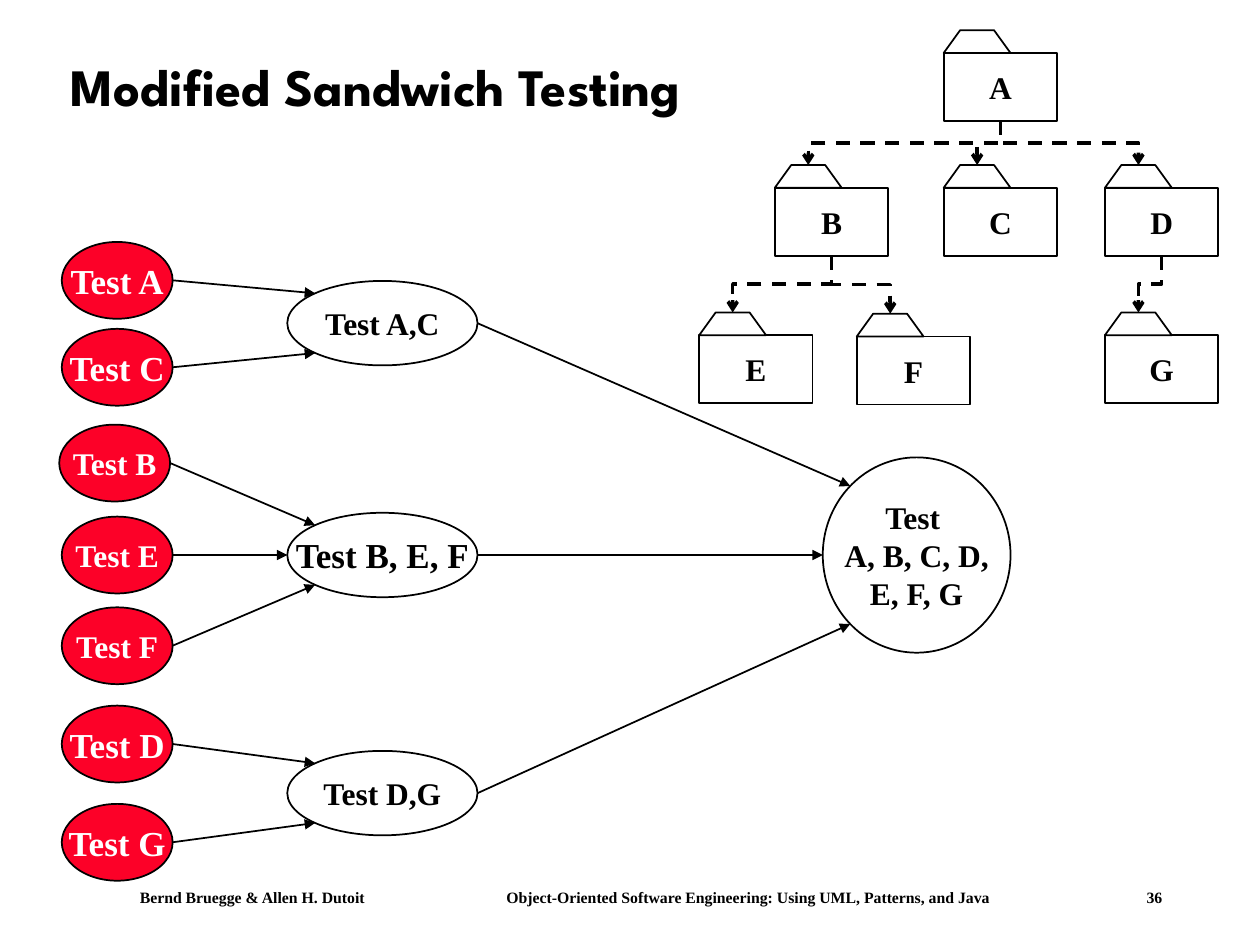
from math import sqrt

from lxml import etree
from pptx import Presentation
from pptx.dml.color import RGBColor
from pptx.enum.dml import MSO_LINE
from pptx.enum.shapes import MSO_CONNECTOR, MSO_SHAPE
from pptx.enum.text import MSO_ANCHOR, PP_ALIGN
from pptx.oxml.ns import qn
from pptx.util import Inches, Pt

BLACK = RGBColor(0x00, 0x00, 0x00)
WHITE = RGBColor(0xFF, 0xFF, 0xFF)
RED = RGBColor(0xFC, 0x01, 0x28)
OVAL, RECT = MSO_SHAPE.OVAL, MSO_SHAPE.RECTANGLE
STRAIGHT, ELBOW = MSO_CONNECTOR.STRAIGHT, MSO_CONNECTOR.ELBOW
DASH = MSO_LINE.DASH
MIDDLE = MSO_ANCHOR.MIDDLE
CENTER = PP_ALIGN.CENTER
SERIF = "Times New Roman"
TITLE_FONT = "League Spartan"

PACKAGE_W, PACKAGE_H = 0.9, 0.54
TAB_W, TAB_H, TAB_SLANT = 0.53, 0.18, 0.13
PACKAGES = {
    "A": (1.94, 0.18), "B": (0.6, 1.25), "C": (1.94, 1.25), "D": (3.22, 1.25),
    "E": (0, 2.42), "F": (1.25, 2.43), "G": (3.22, 2.42),
}
DEPENDENCIES = ["AB", "AC", "AD", "BE", "BF", "DG"]

UNIT_W, UNIT_H = 0.88, 0.61
GROUP_X, GROUP_W, GROUP_H = 1.81, 1.51, 0.67
FINAL = (6.06, 1.71, 1.49, 1.55)
GROUPS = [
    ("Test A,C", 18, 0.31, [("Test A", 20, 0.02, 0), ("Test C", 20, 0.02, 0.69)]),
    ("Test B, E, F", 20, 2.15, [("Test B", 18, 0, 1.45), ("Test E", 18, 0.02, 2.18),
                                ("Test F", 18, 0.02, 2.9)]),
    ("Test D,G", 18, 4.04, [("Test D", 20, 0.02, 3.68), ("Test G", 20, 0.02, 4.46)]),
]


def style_text(tf, size, color, font=SERIF, align=None):
    """Give every paragraph of a text frame the same bold font."""
    for p in tf.paragraphs:
        p.alignment = align
        p.font.name, p.font.size, p.font.bold = font, Pt(size), True
        p.font.color.rgb = color


def style_shape(sp, fill):
    """Give a shape a thin black outline and a fill, or no fill for None."""
    sp.shadow.inherit = False
    sp.line.color.rgb = BLACK
    sp.line.width = Pt(1)
    if fill is None:
        sp.fill.background()
    else:
        sp.fill.solid()
        sp.fill.fore_color.rgb = fill


def add_node(slide, kind, box, text, size, fill=None, color=BLACK):
    """Add an outlined shape with centred text."""
    sp = slide.shapes.add_shape(kind, *map(Inches, box))
    style_shape(sp, fill)
    tf = sp.text_frame
    tf.text = text
    tf.word_wrap = False
    tf.vertical_anchor = MIDDLE
    style_text(tf, size, color, align=CENTER)


def add_arrow(slide, kind, start, end, width, head):
    """Add a black connector with an arrowhead at its end."""
    line = slide.shapes.add_connector(kind, *map(Inches, (*start, *end)))
    line.line.color.rgb = BLACK
    line.line.width = Pt(width)
    ln = line.line._get_or_add_ln()
    etree.SubElement(ln, qn("a:tailEnd"), type=head)
    etree.SubElement(line._element.spPr, qn("a:effectLst"))
    return line


def add_dependency(slide, start, end):
    """Add a dashed elbow that leaves and arrives vertically."""
    (x1, y1), (x2, y2) = start, end
    cx, cy = (x1 + x2) / 2, (y1 + y2) / 2
    half_w, half_h = (y2 - y1) / 2, abs(x2 - x1) / 2
    line = add_arrow(slide, ELBOW, (cx - half_w, cy - half_h),
                     (cx + half_w, cy + half_h), 2, "arrow")
    line.line.dash_style = DASH
    xfrm = line._element.spPr.find(qn("a:xfrm"))
    if x2 < x1:
        xfrm.set("rot", "5400000")
    else:
        xfrm.set("rot", "16200000")
        xfrm.set("flipH", "1")


def add_package(slide, x, y, name):
    """Add a package box with its tab on top."""
    add_node(slide, RECT, (x, y, PACKAGE_W, PACKAGE_H), name, 18, WHITE)
    builder = slide.shapes.build_freeform(Inches(x), Inches(y))
    corners = [(x + TAB_SLANT, y - TAB_H), (x + TAB_W - TAB_SLANT, y - TAB_H),
               (x + TAB_W, y)]
    builder.add_line_segments([(Inches(px), Inches(py)) for px, py in corners])
    style_shape(builder.convert_to_shape(), WHITE)


def add_package_tree(slide, left, top):
    """Draw the package hierarchy with its dependencies."""
    spots = {name: (left + x, top + y) for name, (x, y) in PACKAGES.items()}
    for parent, child in DEPENDENCIES:
        (px, py), (cx, cy) = spots[parent], spots[child]
        add_dependency(slide, (px + PACKAGE_W / 2, py + PACKAGE_H),
                       (cx + TAB_W / 2, cy - TAB_H))
    for name, (x, y) in spots.items():
        add_package(slide, x, y, name)


def join_ovals(slide, source, target):
    """Point from the right of one oval to the facing left side of another."""
    sx, sy, sw, sh = source
    tx, ty, tw, th = target
    start_y, mid_y = sy + sh / 2, ty + th / 2
    if abs(start_y - mid_y) < 0.1:
        end = (tx, mid_y)
    else:
        side = 1 if start_y > mid_y else -1
        end = (tx + tw / 2 * (1 - sqrt(0.5)), mid_y + side * th / 2 * sqrt(0.5))
    add_arrow(slide, STRAIGHT, (sx + sw, start_y), end, 1, "triangle")


def add_test_flow(slide, left, top):
    """Draw unit tests feeding group tests feeding the final test."""
    final = (left + FINAL[0], top + FINAL[1], *FINAL[2:])
    add_node(slide, OVAL, final, "Test \nA, B, C, D,\nE, F, G", 18)
    for text, size, y, units in GROUPS:
        group = (left + GROUP_X, top + y, GROUP_W, GROUP_H)
        add_node(slide, OVAL, group, text, size)
        join_ovals(slide, group, final)
        for unit_text, unit_size, ux, uy in units:
            unit = (left + ux, top + uy, UNIT_W, UNIT_H)
            add_node(slide, OVAL, unit, unit_text, unit_size, RED, WHITE)
            join_ovals(slide, unit, group)


def add_title(slide, left, top, width, height):
    """Add the slide title."""
    tf = slide.shapes.add_textbox(*map(Inches, (left, top, width, height))).text_frame
    tf.word_wrap = True
    tf.vertical_anchor = MIDDLE
    tf.text = "Modified Sandwich Testing"
    tf.paragraphs[0].line_spacing = 0.9
    style_text(tf, 30, BLACK, TITLE_FONT)


def add_footer(slide, left, top, width, height):
    """Add authors, book title and page number on one tabbed line."""
    tf = slide.shapes.add_textbox(*map(Inches, (left, top, width, height))).text_frame
    tf.word_wrap = True
    tf.margin_left = Inches(0.53)
    tf.text = "\t".join([
        "Bernd Bruegge & Allen H. Dutoit",
        "Object-Oriented Software Engineering: Using UML, Patterns, and Java",
        "36",
    ])
    style_text(tf, 9, BLACK)
    tabs = etree.SubElement(tf.paragraphs[0]._p.get_or_add_pPr(), qn("a:tabLst"))
    tabs.getparent().insert(0, tabs)
    for stop in (2.91, 7.99):
        etree.SubElement(tabs, qn("a:tab"), pos=str(Inches(stop)), algn="l")


def main():
    """Build and save the slide."""
    prs = Presentation()
    prs.slide_width, prs.slide_height = Inches(10), Inches(7.5)
    slide = prs.slides.add_slide(prs.slide_layouts[6])
    add_footer(slide, 0.58, 7, 9.17, 0.25)
    add_title(slide, 0.46, 0.24, 8.92, 0.94)
    add_test_flow(slide, 0.47, 1.92)
    add_package_tree(slide, 5.55, 0.24)
    prs.save("out.pptx")


if __name__ == "__main__":
    main()
